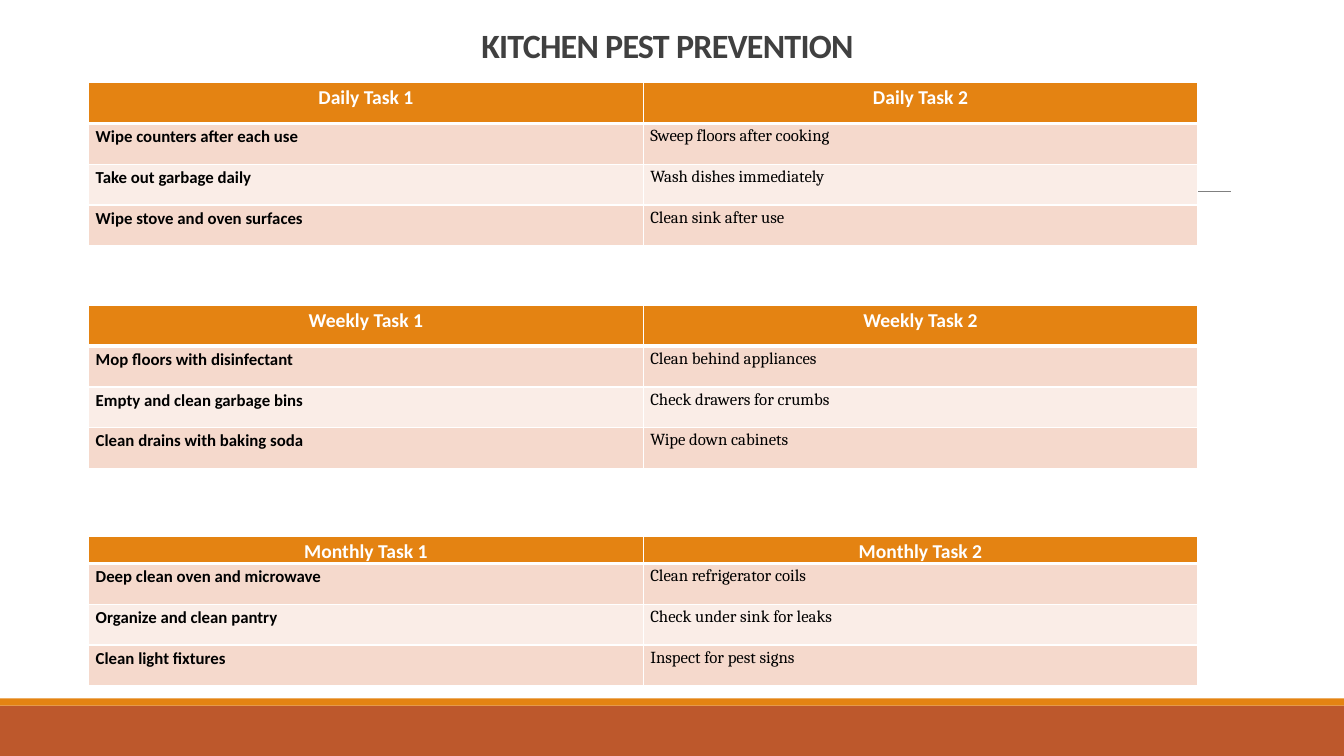
from dataclasses import dataclass
from pptx import Presentation
from pptx.dml.color import RGBColor
from pptx.enum.shapes import MSO_CONNECTOR, MSO_SHAPE
from pptx.enum.text import MSO_ANCHOR, PP_ALIGN
from pptx.oxml import parse_xml
from pptx.oxml.ns import nsdecls
from pptx.util import Inches, Pt


@dataclass(frozen=True)
class Theme:
    head: str = "E48312"
    base: str = "BD582C"
    bands: tuple = ("F5D9CC", "FAEDE7")
    rule: str = "808080"
    title: str = "404040"
    white: str = "FFFFFF"
    black: str = "000000"
    sans: str = "Calibri"
    serif: str = "Cambria"
    big: float = 24.3
    mid: float = 14
    small: float = 12


T = Theme()
WIDE, HIGH = 13.33, 7.5
ROW = 1.62 / 4

# Top, header height and rows of each schedule
TASKS = [
    (0.82, ROW, [
        ("Daily Task 1", "Daily Task 2"),
        ("Wipe counters after each use", "Sweep floors after cooking"),
        ("Take out garbage daily", "Wash dishes immediately"),
        ("Wipe stove and oven surfaces", "Clean sink after use")]),
    (3.03, ROW, [
        ("Weekly Task 1", "Weekly Task 2"),
        ("Mop floors with disinfectant", "Clean behind appliances"),
        ("Empty and clean garbage bins", "Check drawers for crumbs"),
        ("Clean drains with baking soda", "Wipe down cabinets")]),
    (5.32, 0.27, [
        ("Monthly Task 1", "Monthly Task 2"),
        ("Deep clean oven and microwave", "Clean refrigerator coils"),
        ("Organize and clean pantry", "Check under sink for leaks"),
        ("Clean light fixtures", "Inspect for pest signs")]),
]


def color(code):
    return RGBColor.from_string(code)


def apply(item, form):
    for name, value in form.items():
        setattr(item, name, value)


def write(frame, text, font, size, tint, bold, **form):
    para = frame.paragraphs[0]
    apply(para, form)
    run = para.add_run()
    run.text = text
    apply(run.font, {"name": font, "size": Pt(size), "bold": bold})
    run.font.color.rgb = color(tint)
    return run


def band(slide, box, tint):
    bar = slide.shapes.add_shape(MSO_SHAPE.RECTANGLE, *map(Inches, box))
    bar.shadow.inherit = False
    bar.fill.solid()
    bar.fill.fore_color.rgb = color(tint)
    bar.line.fill.background()


def footer(slide, box):
    left, top, wide, high = box
    edge = 0.07
    band(slide, (left, top + edge, wide, high - edge), T.base)
    band(slide, (left, top, wide, edge), T.head)


def rule(slide, box):
    left, top, wide, high = box
    ends = (left, top, left + wide, top + high)
    line = slide.shapes.add_connector(MSO_CONNECTOR.STRAIGHT, *map(Inches, ends))
    line.line.color.rgb = color(T.rule)
    line.line.width = Pt(0.5)
    line._element.spPr.append(parse_xml(f"<a:effectLst {nsdecls('a')}/>"))


def title(slide, box, text):
    frame = slide.shapes.add_textbox(*map(Inches, box)).text_frame
    # The lower inset lifts the heading to the top of its box
    apply(frame, {"word_wrap": True, "vertical_anchor": MSO_ANCHOR.BOTTOM,
                  "margin_top": 0, "margin_bottom": Inches(0.74)})
    run = write(frame, text, T.sans, T.big, T.title, True,
                alignment=PP_ALIGN.CENTER, line_spacing=0.85)
    run.font._element.set("spc", "-50")


def border(cell, row):
    # The edge between header and body is thicker
    sides = {"L": 1, "R": 1, "T": 3 if row == 1 else 1, "B": 3 if row == 0 else 1}
    props = cell._tc.get_or_add_tcPr()
    for side, width in sides.items():
        props.append(parse_xml(
            f'<a:ln{side} {nsdecls("a")} w="{Pt(width)}"><a:solidFill>'
            f'<a:srgbClr val="{T.white}"/></a:solidFill></a:ln{side}>'))


def table(slide, box, head, rows):
    high = box[3]
    grid = slide.shapes.add_table(len(rows), 2, *map(Inches, box)).table
    apply(grid, {"first_row": True, "horz_banding": False})
    step = (high - head) / (len(rows) - 1)
    for r, texts in enumerate(rows):
        grid.rows[r].height = Inches(step if r else head)
        for c, text in enumerate(texts):
            cell = grid.cell(r, c)
            apply(cell, {"margin_left": Inches(0.07), "margin_right": Inches(0.07),
                         "margin_top": 0, "margin_bottom": 0})
            border(cell, r)
            cell.fill.solid()
            cell.fill.fore_color.rgb = color(T.bands[(r - 1) % 2] if r else T.head)
            if r:
                look = (T.serif if c else T.sans, T.small, T.black, c == 0)
                align = PP_ALIGN.LEFT
            else:
                look = (T.sans, T.mid, T.white, True)
                align = PP_ALIGN.CENTER
            write(cell.text_frame, text, *look, alignment=align, line_spacing=1.15)


def main():
    deck = Presentation()
    apply(deck, {"slide_width": Inches(WIDE), "slide_height": Inches(HIGH)})
    slide = deck.slides.add_slide(deck.slide_layouts[6])
    # Backdrop
    footer(slide, (0, 6.93, WIDE, HIGH - 6.93))
    rule(slide, (1.31, 1.9, 10.9, 0))
    # Heading and schedules
    title(slide, (1.12, 0.09, 11, 1.1), "KITCHEN PEST PREVENTION")
    for top, head, rows in TASKS:
        high = head + ROW * (len(rows) - 1)
        table(slide, (0.88, top, 11, high), head, rows)
    deck.save("out.pptx")


if __name__ == "__main__":
    main()
